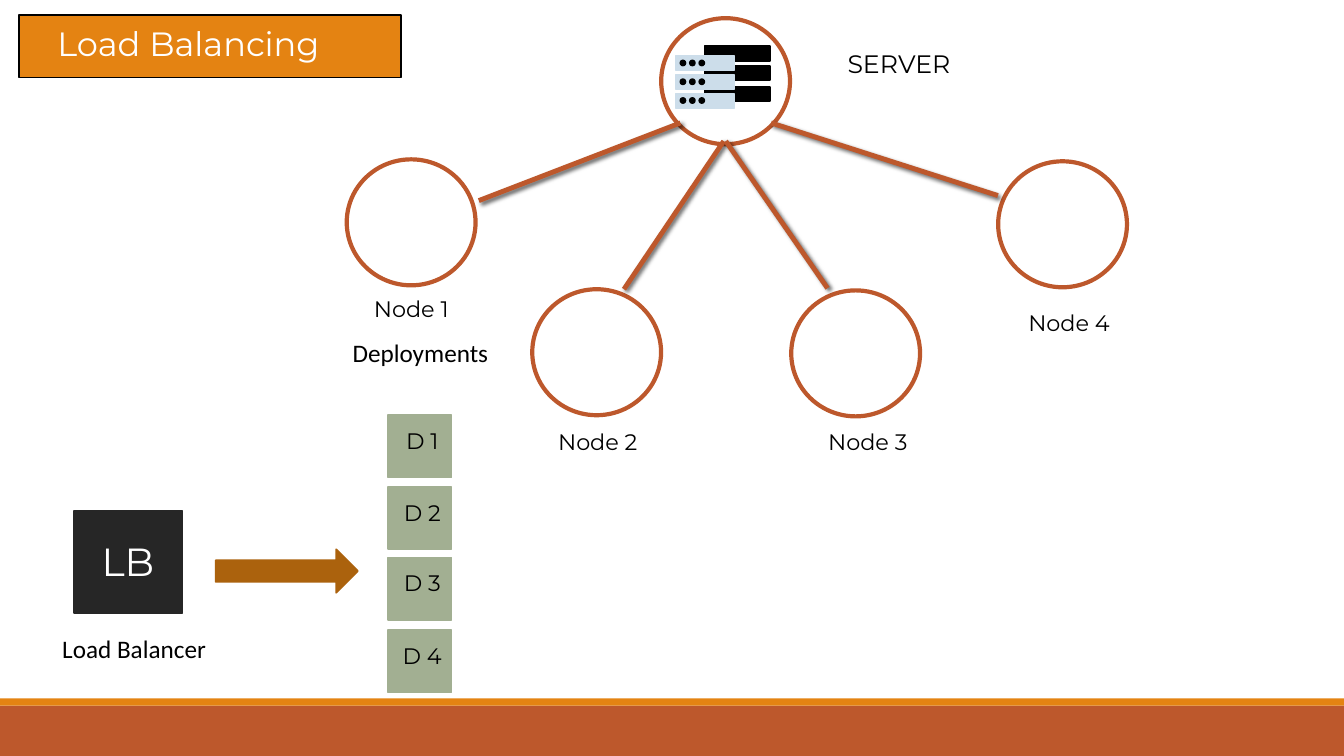
from dataclasses import dataclass

from lxml import etree
from pptx import Presentation
from pptx import util as u
from pptx.dml.color import RGBColor
from pptx.enum import shapes, text
from pptx.oxml import ns

RUST, AMBER, BLACK, WHITE = "BD582C", "E48312", "000000", "FFFFFF"
SAGE, ICE, COAL, BROWN = "A2AF92", "CCDDEA", "262626", "AB620D"
RECT = shapes.MSO_SHAPE.RECTANGLE
OVAL = shapes.MSO_SHAPE.OVAL
ARROW = shapes.MSO_SHAPE.RIGHT_ARROW
LEFT, MID = text.PP_ALIGN.LEFT, text.PP_ALIGN.CENTER


@dataclass
class Box:
    left: float
    top: float
    width: float
    height: float


@dataclass
class Label:
    words: str
    box: Box
    size: float = 16
    color: str = BLACK
    font: str = "Montserrat"
    align: text.PP_ALIGN = MID
    wrap: bool = True


@dataclass
class Link:
    x1: float
    y1: float
    x2: float
    y2: float


deck = Presentation()
deck.slide_width, deck.slide_height = u.Pt(960), u.Pt(540)
slide = deck.slides.add_slide(deck.slide_layouts[6])


def paint(target, color: str) -> None:
    """Give a fill, line or font one solid colour."""
    if hasattr(target, "solid"):
        target.solid()
        target.fore_color.rgb = RGBColor.from_string(color)
    else:
        target.color.rgb = RGBColor.from_string(color)


def draw(kind: shapes.MSO_SHAPE, box: Box, fill: str,
         edge: str = "", weight: float = 1.25) -> None:
    shape = slide.shapes.add_shape(kind, u.Pt(box.left), u.Pt(box.top),
                                   u.Pt(box.width), u.Pt(box.height))
    shape.shadow.inherit = False
    paint(shape.fill, fill)
    if edge:
        paint(shape.line, edge)
        shape.line.width = u.Pt(weight)
    else:
        shape.line.fill.background()


def write(label: Label) -> None:
    box = label.box
    shape = slide.shapes.add_textbox(u.Pt(box.left), u.Pt(box.top),
                                     u.Pt(box.width), u.Pt(box.height))
    frame = shape.text_frame
    frame.word_wrap = label.wrap
    frame.auto_size = text.MSO_AUTO_SIZE.SHAPE_TO_FIT_TEXT
    para = frame.paragraphs[0]
    para.text = label.words
    para.alignment = label.align
    para.font.size = u.Pt(label.size)
    para.font.name = label.font
    paint(para.font, label.color)


def join(link: Link) -> None:
    """Draw a line with a soft shadow to its lower right."""
    line = slide.shapes.add_connector(
        shapes.MSO_CONNECTOR.STRAIGHT, u.Pt(link.x1), u.Pt(link.y1),
        u.Pt(link.x2), u.Pt(link.y2))
    paint(line.line, RUST)
    line.line.width = u.Pt(3.5)
    props = line._element.spPr
    effects = etree.SubElement(props, ns.qn("a:effectLst"))
    shadow = etree.SubElement(
        effects, ns.qn("a:outerShdw"), blurRad=str(u.Pt(3)),
        dist=str(u.Pt(2)), dir=str(45 * 60000), rotWithShape="0")
    tint = etree.SubElement(shadow, ns.qn("a:srgbClr"), val=BLACK)
    etree.SubElement(tint, ns.qn("a:alpha"), val="60000")


def ring(left: float, top: float) -> None:
    draw(OVAL, Box(left, top, 92, 90), WHITE, RUST, 3)


def rack() -> None:
    """Draw the server icon: three dark units behind three light ones."""
    for top in (33, 47, 62):
        draw(RECT, Box(503.3, top, 46.8, 10.4), BLACK, BLACK)
    for row in range(3):
        draw(RECT, Box(483.1, 39.6 + 13.6 * row, 41, 10.8), ICE, ICE)
    for row in range(3):
        for col in range(3):
            draw(OVAL, Box(486 + 6.75 * col, 43.2 + 13.4 * row, 3.6, 3.6),
                 BLACK, BLACK)


def main() -> None:
    draw(RECT, Box(0, 504, 960, 36), RUST)
    draw(RECT, Box(0, 498.8, 960, 5.2), AMBER)

    nodes = [(247.7, 113.8), (380.2, 206.6), (565.2, 207.4), (713, 115.2)]
    for left, top in nodes:
        ring(left, top)
    ring(472.3, 13)
    rack()
    for link in (Link(486, 87.8, 342, 143.3), Link(517, 100.8, 445.7, 206.6),
                 Link(518.4, 100.8, 591.1, 205.9),
                 Link(550.8, 87.8, 712.8, 139.7)):
        join(link)

    for num, top in enumerate((296.6, 347.8, 398.2, 450), 1):
        draw(RECT, Box(277.2, top, 45.4, 44.6), SAGE, SAGE)
        write(Label(f"D {num}", Box(267.8, top + 5, 67.7, 26.6)))

    draw(RECT, Box(13.7, 10.8, 272.9, 44.6), AMBER, BLACK)
    draw(RECT, Box(52.6, 365, 77.8, 72.7), COAL, COAL)
    draw(ARROW, Box(154.1, 392.4, 101.5, 31), BROWN, BROWN)

    spots = [Box(251.3, 207.4, 85, 26.6), Box(380.9, 302.4, 92.2, 26.6),
             Box(577.4, 302.4, 85, 26.6), Box(722.2, 217.4, 82.8, 26.6)]
    for num, spot in enumerate(spots, 1):
        write(Label(f"Node {num}", spot))
    for label in (
        Label("Load Balancing", Box(25.2, 13, 218.9, 36), 24, WHITE,
              wrap=False),
        Label("SERVER", Box(598.3, 31, 100.8, 28.8), 18, align=LEFT),
        Label("LB", Box(57.6, 380.2, 67.7, 41), 28, WHITE),
        Label("Load Balancer", Box(37.4, 448.6, 161.3, 28.8), 18,
              font="Calibri", align=LEFT),
        Label("Deployments", Box(244.8, 237.6, 120.2, 28.8), 18,
              font="Calibri", align=LEFT),
    ):
        write(label)
    deck.save("out.pptx")


if __name__ == "__main__":
    main()
